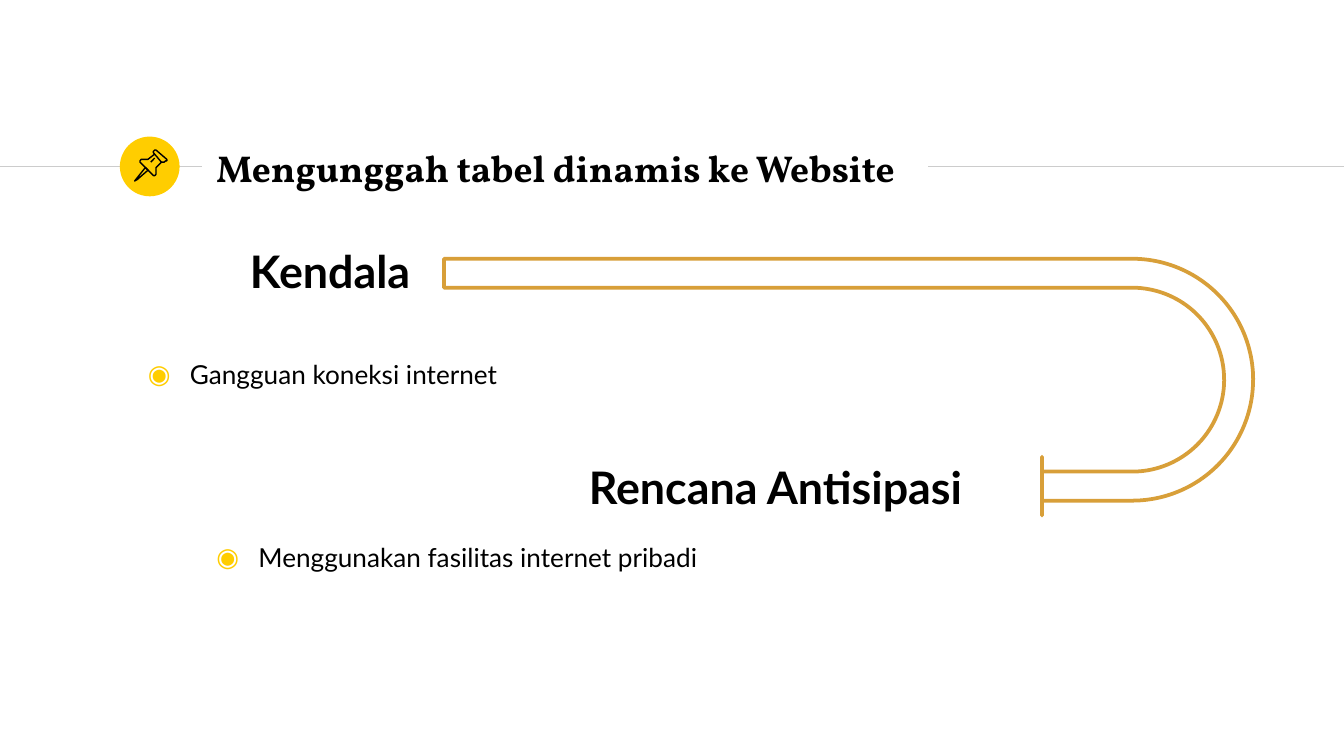
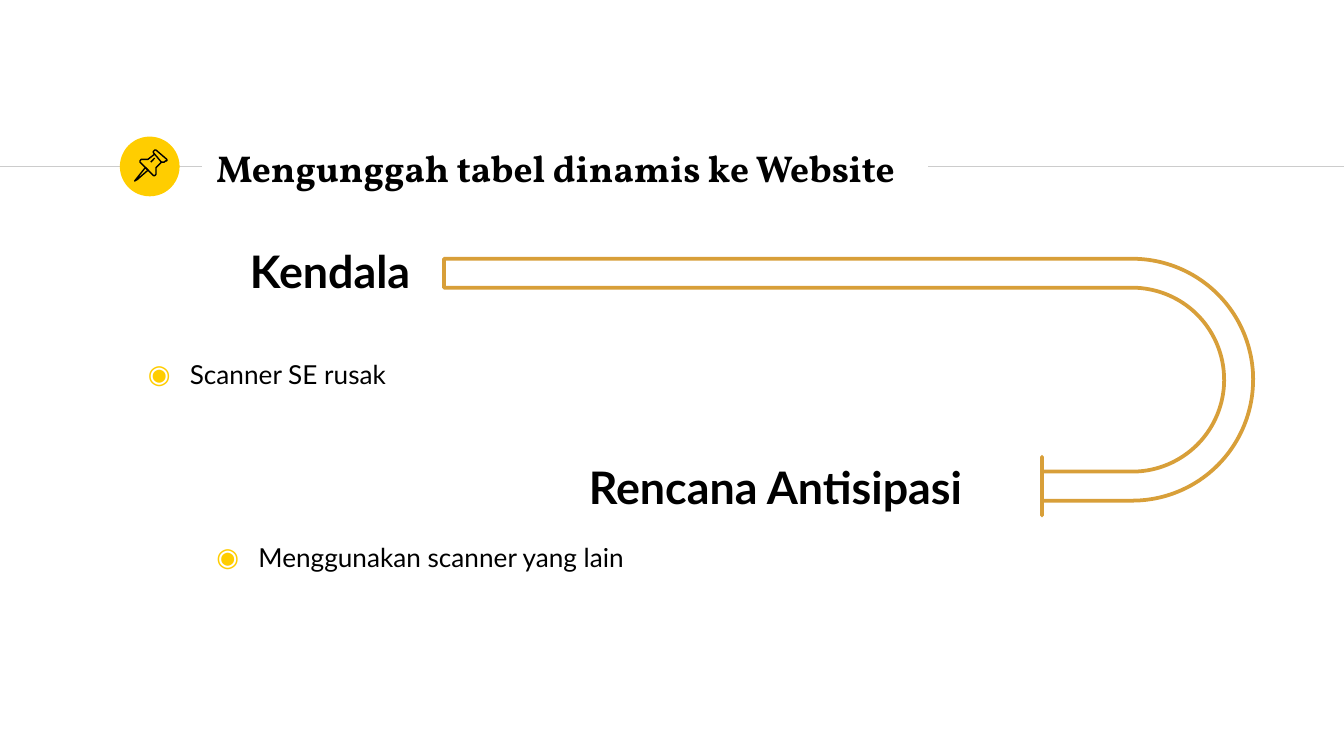
from lxml.etree import SubElement
from pptx import Presentation
from pptx.dml.color import RGBColor
from pptx.enum.shapes import MSO_CONNECTOR, MSO_SHAPE
from pptx.enum.text import MSO_ANCHOR, MSO_AUTO_SIZE, PP_ALIGN
from pptx.oxml.ns import qn
from pptx.util import Pt

COLORS = {"text": "000000", "accent": "FFCD00", "rule": "CCCCCC",
          "paper": "FFFFFF", "arrow": "D89F39"}
FONTS = {"title": "Vollkorn", "body": "Lato"}
COMPARISON = 3 + 1  # layout with a title, two headings and two lists
TITLE = "Mengunggah tabel dinamis ke Website"
HEADINGS = ("Kendala", "Rencana Antisipasi")
SLIDES = [
    ("Gangguan koneksi internet", "Menggunakan fasilitas internet pribadi", 79.9),
    ("Scanner SE rusak", "Menggunakan scanner yang lain", 49.7),
]

# Pin outlines in points, from the corner of the disc: (closed, vertices)
PIN = [
    (True, [(13.7, 16.6), (8.6, 23), (7.9, 23.8), (9.4, 23), (15.1, 18)]),
    (True, [(18.7, 9.4), (22.3, 13.7), (23.8, 13.7), (24.5, 13), (25.2, 13),
            (25.2, 12.2), (19.4, 7.2), (18.7, 7.2), (18, 7.9), (18, 8.6)]),
    (False, [(18.7, 9.4), (15.1, 12.2), (13, 12.2), (11.5, 12.2), (10.8, 13),
             (10.8, 13.7), (18, 20.9), (18.7, 20.9), (19.4, 20.2),
             (19.4, 18.7), (19.4, 16.6), (22.3, 13.7)]),
    (False, [(16.6, 13.7), (18.7, 11.5)]),
]


def rgb(name):
    """Return a palette colour."""
    return RGBColor.from_string(COLORS[name])


def style(sp, fill=None, line=None, width=0.75):
    """Set fill and line of a shape; None means neither is drawn."""
    sp.shadow.inherit = False
    if fill:
        sp.fill.solid()
        sp.fill.fore_color.rgb = rgb(fill)
    else:
        sp.fill.background()
    if line:
        sp.line.color.rgb = rgb(line)
        sp.line.width = Pt(width)
    else:
        sp.line.fill.background()


def write_text(sp, box, text, size=14, font="body", bold=False, left=0,
               hanging=0, before=0, bullet=None, anchor=MSO_ANCHOR.TOP):
    """Move a placeholder to box, to the front, and fill it with text."""
    sp.left, sp.top, sp.width, sp.height = map(Pt, box)
    sp._element.getparent().append(sp._element)
    tf = sp.text_frame
    tf.word_wrap = True
    tf.auto_size = MSO_AUTO_SIZE.NONE
    tf.vertical_anchor = anchor
    tf.margin_left = tf.margin_right = tf.margin_top = tf.margin_bottom = Pt(7.2)
    p = tf.paragraphs[0]
    p.alignment = PP_ALIGN.LEFT
    p.space_before = Pt(before)
    pPr = p._p.get_or_add_pPr()
    pPr.set("marL", str(Pt(left)))
    pPr.set("indent", str(Pt(-hanging)))
    if bullet:
        clr = SubElement(pPr, qn("a:buClr"))
        SubElement(clr, qn("a:srgbClr"), val=COLORS["accent"])
        SubElement(pPr, qn("a:buChar"), char=bullet)
    else:
        SubElement(pPr, qn("a:buNone"))
    r = p.add_run()
    r.text = text
    r.font.name = FONTS[font]
    r.font.size = Pt(size)
    r.font.bold = bold
    r.font.color.rgb = rgb("text")


def add_rule(slide, x1, x2, y):
    """Draw a thin horizontal rule."""
    line = slide.shapes.add_connector(
        MSO_CONNECTOR.STRAIGHT, Pt(x1), Pt(y), Pt(x2), Pt(y))
    line.line.color.rgb = rgb("rule")
    line.line.width = Pt(0.75)
    SubElement(line._element.spPr, qn("a:effectLst"))


def add_pin(slide, x, y, size):
    """Draw the pin icon on its disc."""
    disc = slide.shapes.add_shape(
        MSO_SHAPE.OVAL, Pt(x), Pt(y), Pt(size), Pt(size))
    style(disc, "accent")
    group = slide.shapes.add_group_shape()
    for closed, vertices in PIN:
        points = [(100 * (x + dx), 100 * (y + dy)) for dx, dy in vertices]
        builder = group.shapes.build_freeform(*points[0], scale=Pt(1) / 100)
        builder.add_line_segments(points[1:], close=closed)
        style(builder.convert_to_shape(), line="text")


def add_header(slide, x, y, w, h):
    """Draw the title between two rules, with the pin before it."""
    middle = 89.2
    add_rule(slide, 0, x - 0.7, middle)
    add_rule(slide, 414.7, 720, middle)
    add_pin(slide, 64.2, middle - 16, 32)
    gap = slide.shapes.add_shape(
        MSO_SHAPE.RECTANGLE, Pt(401.8), Pt(y), Pt(94.3), Pt(h))
    style(gap, "paper", "paper", 2)
    write_text(slide.shapes.title, (x, y, w, h), TITLE, size=20, font="title",
               bold=True, anchor=MSO_ANCHOR.MIDDLE)


def add_topic(heading_sp, list_sp, heading_box, list_box, heading, item):
    """Write a heading and the bulleted list under it."""
    write_text(heading_sp, heading_box, heading, size=24, bold=True, left=18)
    write_text(list_sp, list_box, item, left=22.5, hanging=22.5, before=6,
               bullet="\u25c9")


def add_turn_arrow(slide, x, y, w, h):
    """Draw the U-turn, turned a quarter so that it covers the given box."""
    sp = slide.shapes.add_shape(
        MSO_SHAPE.U_TURN_ARROW, Pt(x + (w - h) / 2), Pt(y + (h - w) / 2),
        Pt(h), Pt(w))
    sp.rotation = 90
    for i, value in enumerate((0.113, 0.114, 0, 0.471, 0.261)):
        sp.adjustments[i] = value
    style(sp, "paper", "arrow", 2)


def add_problem_slide(prs, problem, plan, plan_height):
    """Add a slide that leads from a problem to the plan against it."""
    slide = prs.slides.add_slide(prs.slide_layouts[COMPARISON])
    ph = {sp.placeholder_format.idx: sp for sp in slide.placeholders}
    add_header(slide, 108.7, 72.7, 396, 34.6)
    add_topic(ph[1], ph[2], (108.7, 123.1, 146.9, 43.9),
              (72, 185, 553, 59), HEADINGS[0], problem)
    add_topic(ph[3], ph[4], (290.2, 239, 305.3, 43.9),
              (108.7, 283, 553, plan_height), HEADINGS[1], plan)
    add_turn_arrow(slide, 237.9, 138.6, 433.4, 137.5)


prs = Presentation()
prs.slide_width, prs.slide_height = Pt(720), Pt(405)
for problem, plan, plan_height in SLIDES:
    add_problem_slide(prs, problem, plan, plan_height)
prs.save("out.pptx")
